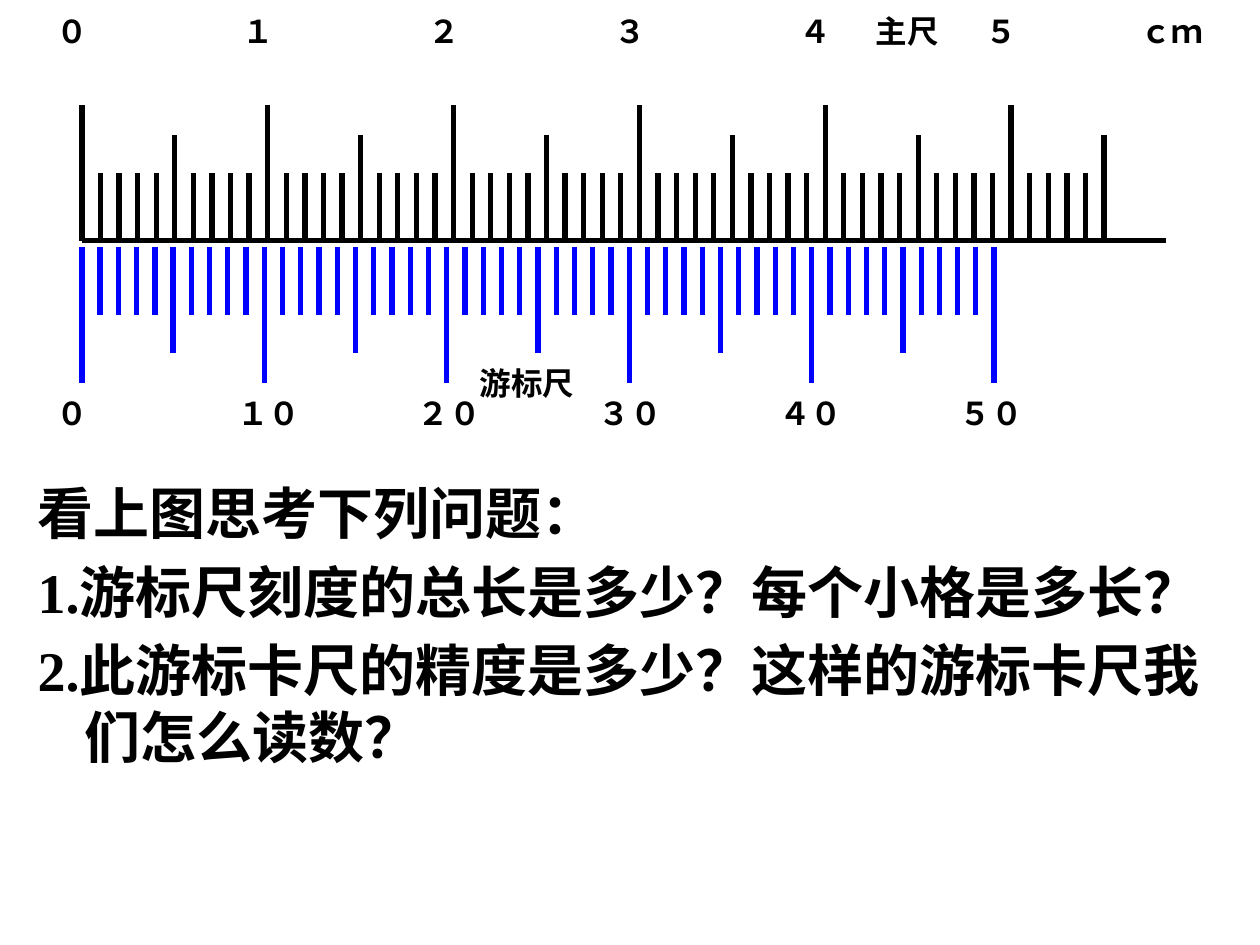
from dataclasses import dataclass

from lxml.etree import SubElement
from pptx import Presentation
from pptx.dml.color import RGBColor
from pptx.enum.shapes import MSO_CONNECTOR
from pptx.enum.text import PP_ALIGN
from pptx.oxml.ns import qn
from pptx.util import Inches, Pt

COLUMNS, ROWS = 100, 75
SLIDE_WIDTH, SLIDE_HEIGHT = Inches(10), Inches(7.5)
BLACK, BLUE = "000000", "0000FF"
LATIN_FONT, ASIAN_FONT = "Times New Roman", "Noto Sans CJK SC"
SCALE_LEFT, LABEL_LEFT = 6.5, 3.5
QUESTIONS = (
    "看上图思考下列问题：",
    "1.游标尺刻度的总长是多少？每个小格是多长？",
    "2.此游标卡尺的精度是多少？这样的游标卡尺我们怎么读数？",
)


@dataclass(frozen=True)
class Scale:
    """A ruler: its edge, direction, ticks and numbers in grid units."""
    edge: float
    direction: int
    last_tick: int
    ten_ticks: float
    color: str
    labels: tuple
    label_row: float
    label_step: float


@dataclass(frozen=True)
class Caption:
    """A free label beside the rulers."""
    text: str
    column: float
    row: float
    width: float = 10.5


SCALES = (
    Scale(19.1, -1, 55, 14.75, BLACK, tuple("０１２３４５"), 0.5, 14.75),
    Scale(19.6, 1, 50, 14.48, BLUE,
          ("０", "１０", "２０", "３０", "４０", "５０"), 30.8, 14.34),
)
CAPTIONS = (
    Caption("主尺", 68.5, 0.5),
    Caption("ｃｍ", 89.5, 0.5),
    Caption("游标尺", 37.1, 28.4, 12.6),
)


def across(columns: float) -> int:
    """Turn grid columns into a length."""
    return round(SLIDE_WIDTH * columns / COLUMNS)


def down(rows: float) -> int:
    """Turn grid rows into a length."""
    return round(SLIDE_HEIGHT * rows / ROWS)


def color_of(value: str) -> RGBColor:
    """Turn a hex string into a colour."""
    return RGBColor.from_string(value)


def draw_line(shapes, start: tuple, end: tuple, color: str) -> None:
    """Draw a straight three-point line between two grid positions."""
    line = shapes.add_connector(
        MSO_CONNECTOR.STRAIGHT, across(start[0]), down(start[1]),
        across(end[0]), down(end[1]))
    line.line.width = Pt(3)
    line.line.color.rgb = color_of(color)
    SubElement(line._element.spPr, qn("a:effectLst"))


def write_text(shapes, lines: tuple, column: float, row: float, width: float,
               height: float, *, size: float = 18, align=None,
               hanging: float = 0, gap: float = 0) -> None:
    """Write bold paragraphs in a wrapped box on the grid."""
    box = shapes.add_textbox(across(column), down(row), across(width), down(height))
    frame = box.text_frame
    frame.word_wrap = True
    for index, line in enumerate(lines):
        paragraph = frame.paragraphs[0] if index == 0 else frame.add_paragraph()
        if align is not None:
            paragraph.alignment = align
        if hanging:
            properties = paragraph._p.get_or_add_pPr()
            properties.set("marL", str(across(hanging)))
            properties.set("indent", str(-across(hanging)))
        if index and gap:
            paragraph.space_before = Pt(gap)
        run = paragraph.add_run()
        run.text = line
        run.font.size = Pt(size)
        run.font.bold = True
        run.font.color.rgb = color_of(BLACK)
        run.font.name = LATIN_FONT
        SubElement(run._r.get_or_add_rPr(), qn("a:ea"), typeface=ASIAN_FONT)


def draw_label(shapes, text: str, column: float, row: float,
               width: float = 10.5) -> None:
    """Write one ruler label."""
    write_text(shapes, (text,), column, row, width, 7, align=PP_ALIGN.JUSTIFY)


def tick_length(tick: int) -> float:
    """Give the rows a tick covers: long for tens, medium for fives."""
    if tick % 10 == 0:
        return 10.8
    return 8.4 if tick % 5 == 0 else 5.4


def draw_scale(shapes, scale: Scale) -> None:
    """Draw the ticks and numbers of a ruler."""
    for tick in range(scale.last_tick + 1):
        column = SCALE_LEFT + tick * scale.ten_ticks / 10
        tip = scale.edge + scale.direction * tick_length(tick)
        draw_line(shapes, (column, scale.edge), (column, tip), scale.color)
    for index, text in enumerate(scale.labels):
        draw_label(shapes, text, LABEL_LEFT + index * scale.label_step, scale.label_row)


def main() -> None:
    """Build and save the vernier caliper slide."""
    presentation = Presentation()
    presentation.slide_width, presentation.slide_height = SLIDE_WIDTH, SLIDE_HEIGHT
    slide = presentation.slides.add_slide(presentation.slide_layouts[6])
    caliper = slide.shapes.add_group_shape().shapes
    draw_line(caliper, (SCALE_LEFT, 19.1), (92.5, 19.1), BLACK)
    for scale in SCALES:
        draw_scale(caliper, scale)
    for caption in CAPTIONS:
        draw_label(caliper, caption.text, caption.column, caption.row, caption.width)
    write_text(slide.shapes, QUESTIONS, 2, 37.5, 98, 40.2,
               size=32, hanging=3.75, gap=6.4)
    presentation.save("out.pptx")


if __name__ == "__main__":
    main()
